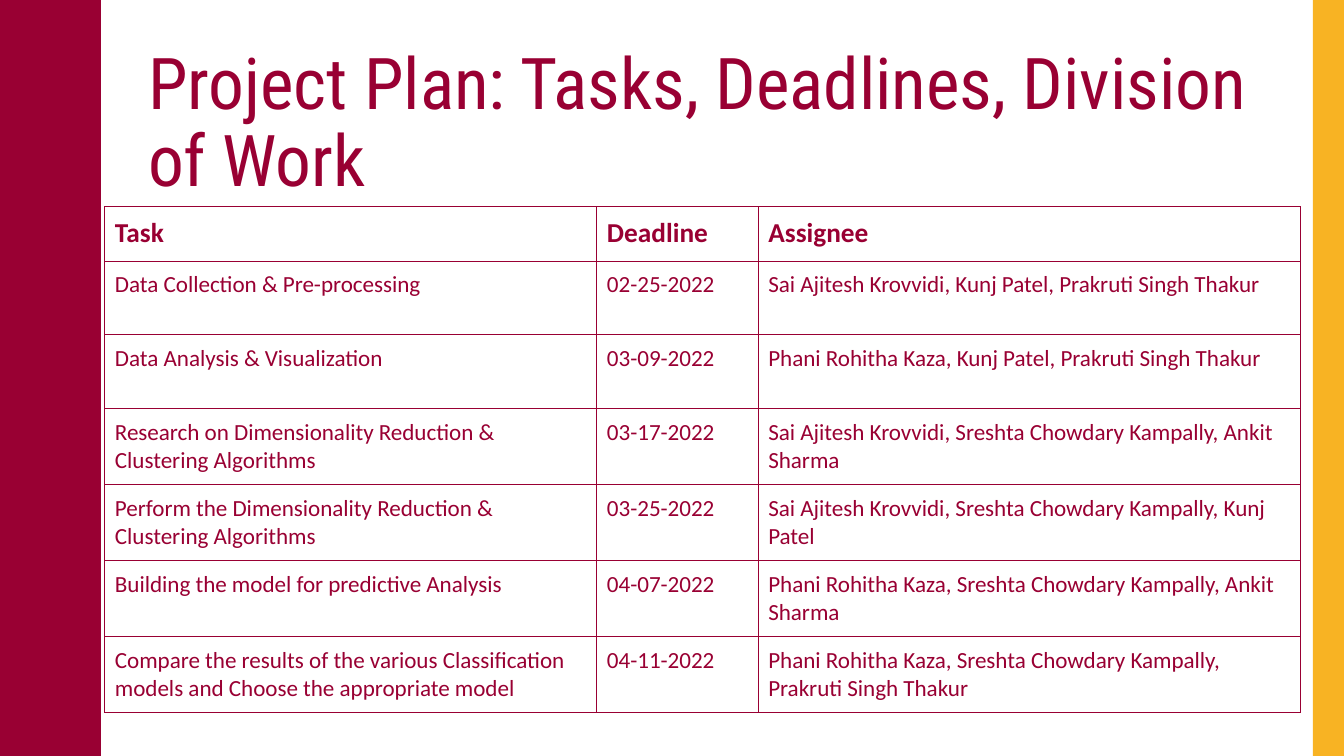
import math

from lxml import etree
from pptx import Presentation
from pptx import util as u
from pptx.dml.color import RGBColor
from pptx.enum import shapes, text
from pptx.oxml import ns

COLORS = {"maroon": "990033", "gold": "F8B323"}
WIDTH, HEIGHT = 13.33, 7.5
COLUMNS = [4.88, 1.6, 5.38]
ROWS = [0.54] + [0.73] * 2 + [0.755] * 4
PLAN = [
    ("Task", "Deadline", "Assignee"),
    ("Data Collection & Pre-processing", "02-25-2022",
     "Sai Ajitesh Krovvidi, Kunj Patel, Prakruti Singh Thakur"),
    ("Data Analysis & Visualization", "03-09-2022",
     "Phani Rohitha Kaza, Kunj Patel, Prakruti Singh Thakur"),
    ("Research on Dimensionality Reduction & Clustering Algorithms", "03-17-2022",
     "Sai Ajitesh Krovvidi, Sreshta Chowdary Kampally, Ankit Sharma"),
    ("Perform the Dimensionality Reduction & Clustering Algorithms", "03-25-2022",
     "Sai Ajitesh Krovvidi, Sreshta Chowdary Kampally, Kunj Patel"),
    ("Building the model for predictive Analysis", "04-07-2022",
     "Phani Rohitha Kaza, Sreshta Chowdary Kampally, Ankit Sharma"),
    ("Compare the results of the various Classification models and Choose the appropriate model",
     "04-11-2022", "Phani Rohitha Kaza, Sreshta Chowdary Kampally, Prakruti Singh Thakur"),
]


def color(name):
    return RGBColor.from_string(COLORS[name])


def paint(shape, name):
    shape.shadow.inherit = False
    shape.fill.solid()
    shape.fill.fore_color.rgb = color(name)
    shape.line.fill.background()


def style(para, font, size, bold=False):
    for span in para.runs:
        span.font.name = font
        span.font.size = u.Pt(size)
        span.font.bold = bold
        span.font.color.rgb = color("maroon")


def add_wave(page, left, top, width, height, waves=5, steps=14):
    half = height / waves / 2
    swing = width * 0.1
    edge = []
    for index in range(waves * 2 * steps + 1):
        turn = index / steps
        across = left + width - swing * (1 + math.cos(math.pi * turn))
        down = top + half * (turn + 0.05 * math.sin(2 * math.pi * turn))
        edge.append((across, down))
    builder = page.shapes.build_freeform(left, top, scale=u.Inches(1))
    builder.add_line_segments(edge + [(left, top + height)], close=True)
    paint(builder.convert_to_shape(), "maroon")


def add_stripe(page, *place):
    stripe = page.shapes.add_shape(shapes.MSO_SHAPE.RECTANGLE, *map(u.Inches, place))
    paint(stripe, "gold")


def add_title(page, *place):
    frame = page.shapes.add_textbox(*map(u.Inches, place)).text_frame
    frame.word_wrap = True
    frame.vertical_anchor = text.MSO_ANCHOR.MIDDLE
    frame.text = "Project Plan: Tasks, Deadlines, Division of Work"
    para = frame.paragraphs[0]
    para.line_spacing = 0.9
    style(para, "Roboto Condensed", 51)


def add_borders(cell):
    properties = cell._tc.get_or_add_tcPr()
    for position, side in enumerate(("lnL", "lnR", "lnT", "lnB")):
        line = etree.Element(ns.qn(f"a:{side}"), w=str(u.Pt(0.75)))
        fill = etree.SubElement(line, ns.qn("a:solidFill"))
        etree.SubElement(fill, ns.qn("a:srgbClr"), val=COLORS["maroon"])
        properties.insert(position, line)


def add_plan(page, left, top):
    place = map(u.Inches, (left, top, sum(COLUMNS), sum(ROWS)))
    table = page.shapes.add_table(len(ROWS), len(COLUMNS), *place).table
    table.horz_banding = False
    for column, width in zip(table.columns, COLUMNS):
        column.width = u.Inches(width)
    for number, (row, height, entries) in enumerate(zip(table.rows, ROWS, PLAN)):
        row.height = u.Inches(height)
        for cell, entry in zip(row.cells, entries):
            cell.fill.background()
            cell.margin_left = cell.margin_right = u.Inches(0.1)
            cell.margin_top = cell.margin_bottom = u.Inches(0.1)
            cell.text_frame.text = entry
            header = number == 0
            style(cell.text_frame.paragraphs[0], "Calibri", 19.5 if header else 16.5, header)
            add_borders(cell)


def main():
    deck = Presentation()
    deck.slide_width = u.Inches(WIDTH)
    deck.slide_height = u.Inches(HEIGHT)
    page = deck.slides.add_slide(deck.slide_layouts[6])
    add_wave(page, 0, 0, 0.97, HEIGHT)
    add_stripe(page, WIDTH - 0.31, 0, 0.31, HEIGHT)
    add_title(page, 1.37, 0.42, 11.13, 1.63)
    add_plan(page, 1.04, 2.05)
    deck.save("out.pptx")


if __name__ == "__main__":
    main()
